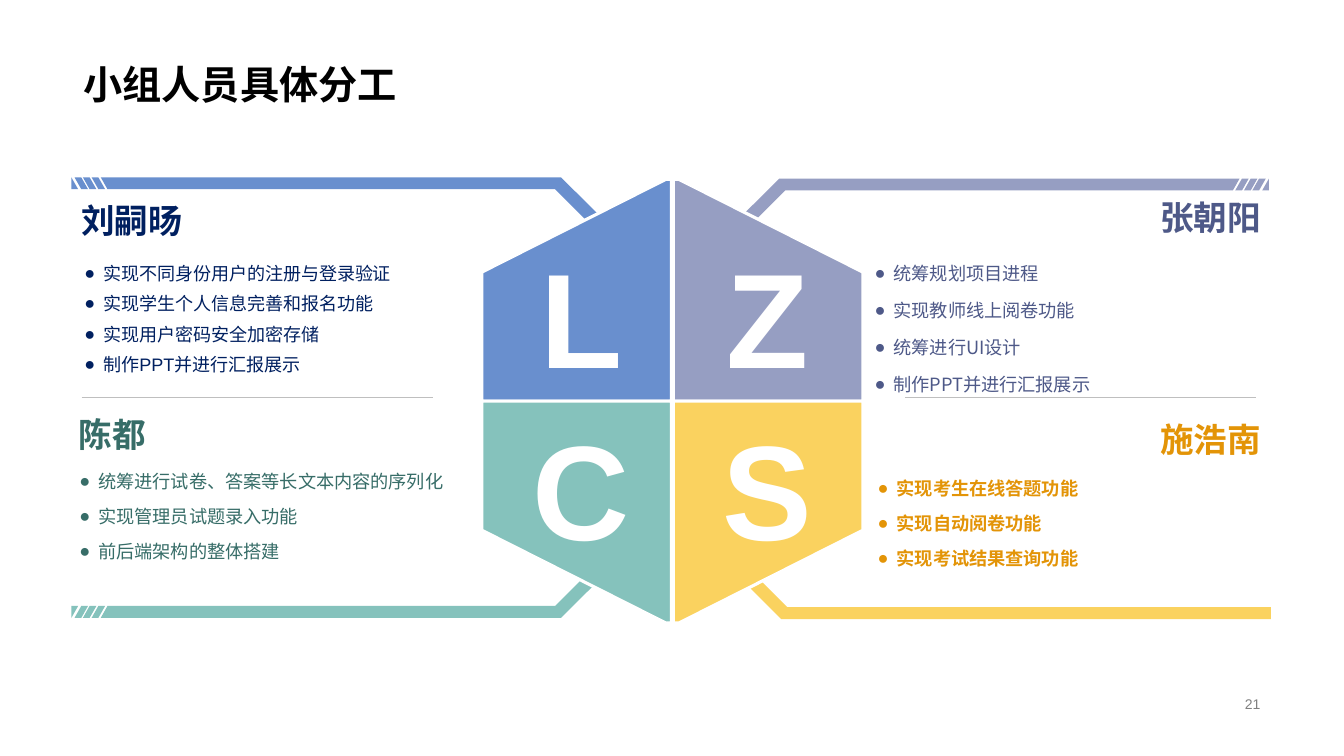
import pptx
import pptx.dml.color
import pptx.enum.shapes
import pptx.enum.text
import pptx.oxml.ns
import pptx.util
import lxml.etree

Cm, Pt = pptx.util.Cm, pptx.util.Pt
ALIGN = pptx.enum.text.PP_ALIGN
ANCHOR = pptx.enum.text.MSO_ANCHOR
qn = pptx.oxml.ns.qn
CJK_FONT = "Noto Sans CJK SC"

ARM_SIZE = (15.14, 5.59)
QUADRANT_SIZE = (4.78, 5.59)
LETTER_SIZE = (5.03, 4.9)
NAME_SIZE = (10.29, 1.45)
TASKS_SIZE = (10.59, 3.28)

# Positions are (left, top) in cm.
MEMBERS = [
    {"name": "刘嗣旸", "letter": "L", "fill": "698FCE", "ink": "002060",
     "right": False, "bottom": False, "striped": True,
     "arm_at": (1.8, 4.47), "quadrant_at": (12.14, 4.52), "letter_at": (12.14, 5.77),
     "name_at": (1.8, 4.83), "tasks_at": (1.88, 6.27),
     "tasks_format": {"size": Pt(12.9), "name": "Arial", "bold": False}, "spacing": 1.4,
     "tasks": ["实现不同身份用户的注册与登录验证", "实现学生个人信息完善和报名功能",
               "实现用户密码安全加密存储", "制作PPT并进行汇报展示"]},
    {"name": "张朝阳", "letter": "Z", "fill": "969EC2", "ink": "4E5988",
     "right": True, "bottom": False, "striped": True,
     "arm_at": (16.84, 4.5), "quadrant_at": (16.97, 4.52), "letter_at": (16.83, 5.77),
     "name_at": (21.74, 4.75), "tasks_at": (21.79, 6.1),
     "tasks_format": {"size": Pt(13), "name": CJK_FONT, "bold": False}, "spacing": 1.7,
     "tasks": ["统筹规划项目进程", "实现教师线上阅卷功能",
               "统筹进行UI设计", "制作PPT并进行汇报展示"]},
    {"name": "陈都", "letter": "C", "fill": "85C2BC", "ink": "376D68",
     "right": False, "bottom": True, "striped": True,
     "arm_at": (1.8, 9.98), "quadrant_at": (12.14, 10.11), "letter_at": (12.14, 10.11),
     "name_at": (1.73, 10.21), "tasks_at": (1.75, 11.4),
     "tasks_format": {"size": Pt(13), "name": "Arial", "bold": False}, "spacing": 1.6,
     "tasks": ["统筹进行试卷、答案等长文本内容的序列化", "实现管理员试题录入功能",
               "前后端架构的整体搭建"]},
    {"name": "施浩南", "letter": "S", "fill": "FAD25F", "ink": "E39407",
     "right": True, "bottom": True, "striped": False,
     "arm_at": (16.89, 10.01), "quadrant_at": (16.97, 10.11), "letter_at": (16.83, 10.11),
     "name_at": (21.74, 10.34), "tasks_at": (21.87, 11.58),
     "tasks_format": {"size": Pt(13), "name": "Arial", "bold": True}, "spacing": 1.6,
     "tasks": ["实现考生在线答题功能", "实现自动阅卷功能", "实现考试结果查询功能"]},
]


def color(hex_string):
    return pptx.dml.color.RGBColor.from_string(hex_string)


def apply_format(target, values):
    for attribute, value in values.items():
        setattr(target, attribute, value)


def write(paragraph, text, ink, font_format):
    run = paragraph.add_run()
    run.text = text
    apply_format(run.font, font_format)
    run.font.color.rgb = color(ink)
    east_asian = lxml.etree.SubElement(run.font._element, qn("a:ea"))
    east_asian.set("typeface", CJK_FONT)


def add_text(slide, at, size, lines, ink, font_format,
             align=ALIGN.LEFT, anchor=ANCHOR.TOP, spacing=None):
    box = slide.shapes.add_textbox(*map(Cm, at + size))
    frame = box.text_frame
    apply_format(frame, {"word_wrap": True, "vertical_anchor": anchor})
    for index, line in enumerate(lines):
        paragraph = frame.paragraphs[0] if index == 0 else frame.add_paragraph()
        apply_format(paragraph, {"alignment": align, "line_spacing": spacing})
        write(paragraph, line, ink, font_format)
    return frame


def add_outline(slide, at, size, member, contours):
    """Draw contours given for the upper left, mirrored to the member's corner."""
    def place(point):
        x, y = point
        return (Cm(at[0] + (size[0] - x if member["right"] else x)),
                Cm(at[1] + (size[1] - y if member["bottom"] else y)))

    first, *others = [[place(point) for point in contour] for contour in contours]
    builder = slide.shapes.build_freeform(*first[0])
    builder.add_line_segments(first[1:], close=True)
    for contour in others:
        builder.move_to(*contour[0])
        builder.add_line_segments(contour[1:], close=True)
    outline = builder.convert_to_shape()
    outline.shadow.inherit = False
    outline.fill.solid()
    outline.fill.fore_color.rgb = color(member["fill"])
    return outline


def add_arm(slide, member):
    width, height = ARM_SIZE
    thickness = 0.3
    start, inner_start = (0.74, 0.91) if member["striped"] else (0, 0)
    contours = [[(start, 0), (12.34, 0), (width, 2.79), (width, height),
                 (width - 0.28, height), (width - 0.28, 2.97),
                 (12.19, thickness), (inner_start, thickness)]]
    if member["striped"]:
        slant = stripe = 0.17
        for x in (0.51, 0.29, 0.08):
            contours.append([(x, 0), (x + stripe, 0),
                             (x + stripe + slant, thickness), (x + slant, thickness)])
        contours.append([(0, 0), (slant, thickness), (0, thickness)])
    arm = add_outline(slide, member["arm_at"], ARM_SIZE, member, contours)
    arm.line.fill.background()


def add_quadrant(slide, member):
    width, height = QUADRANT_SIZE
    corners = [(width, height), (0, height), (0, 2.34), (width - 0.14, 0), (width, 0)]
    quadrant = add_outline(slide, member["quadrant_at"], QUADRANT_SIZE, member, [corners])
    quadrant.line.color.rgb = color("FFFFFF")
    quadrant.line.width = Pt(2.25)


def add_letter(slide, member):
    add_text(slide, member["letter_at"], LETTER_SIZE, [member["letter"]], "FFFFFF",
             {"size": Pt(96), "name": "Arial", "bold": True}, ALIGN.CENTER)


def add_duties(slide, member):
    add_text(slide, member["name_at"], NAME_SIZE, [member["name"]], member["ink"],
             {"size": Pt(24), "name": "Arial", "bold": True},
             ALIGN.RIGHT if member["right"] else ALIGN.LEFT, ANCHOR.MIDDLE)
    tasks = add_text(slide, member["tasks_at"], TASKS_SIZE, member["tasks"], member["ink"],
                     member["tasks_format"], spacing=member["spacing"])
    for paragraph in tasks.paragraphs:
        properties = paragraph._p.get_or_add_pPr()
        properties.set("marL", str(Cm(0.48)))
        properties.set("indent", str(-Cm(0.48)))
        lxml.etree.SubElement(properties, qn("a:buFont")).set("typeface", "Arial")
        lxml.etree.SubElement(properties, qn("a:buChar")).set("char", "●")


def add_divider(slide, left, top, width):
    divider = slide.shapes.add_connector(
        pptx.enum.shapes.MSO_CONNECTOR.STRAIGHT, Cm(left), Cm(top), Cm(left + width), Cm(top))
    divider.line.color.rgb = color("BFBFBF")
    divider.line.width = Pt(0.25)
    lxml.etree.SubElement(divider._element.spPr, qn("a:effectLst"))


def set_title(slide, text):
    title = slide.shapes.title
    apply_format(title, {"left": Cm(1.85), "top": Cm(0),
                         "width": Cm(30.15), "height": Cm(2.84)})
    apply_format(title.text_frame, {"vertical_anchor": ANCHOR.BOTTOM, "word_wrap": True,
                                    "auto_size": pptx.enum.text.MSO_AUTO_SIZE.NONE})
    paragraph = title.text_frame.paragraphs[0]
    apply_format(paragraph, {"alignment": ALIGN.LEFT, "line_spacing": 0.9})
    write(paragraph, text, "000000", {"size": Pt(28), "name": "Arial", "bold": True})


def build_team_slide(deck):
    slide = deck.slides.add_slide(deck.slide_layouts[5])
    set_title(slide, "小组人员具体分工")
    for add_part in (add_arm, add_quadrant, add_letter, add_duties):
        for member in MEMBERS:
            add_part(slide, member)
    for left in (2.06, 22.81):
        add_divider(slide, left, 10.01, 8.84)
    add_text(slide, (23.93, 17.46), (8.08, 0.58), ["21"], "808080",
             {"size": Pt(10), "name": "Arial"}, ALIGN.RIGHT, ANCHOR.MIDDLE)


def main():
    deck = pptx.Presentation()
    apply_format(deck, {"slide_width": Cm(33.87), "slide_height": Cm(19.05)})
    build_team_slide(deck)
    deck.save("out.pptx")


if __name__ == "__main__":
    main()
